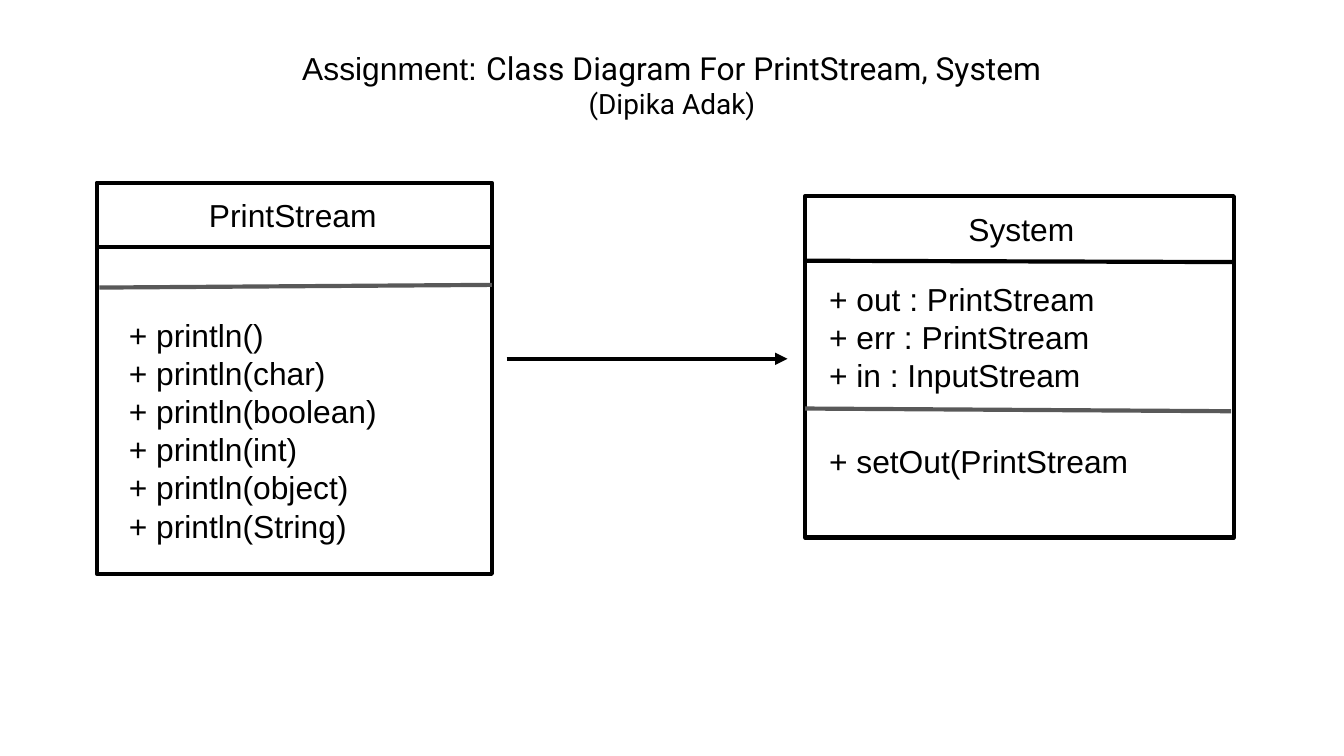
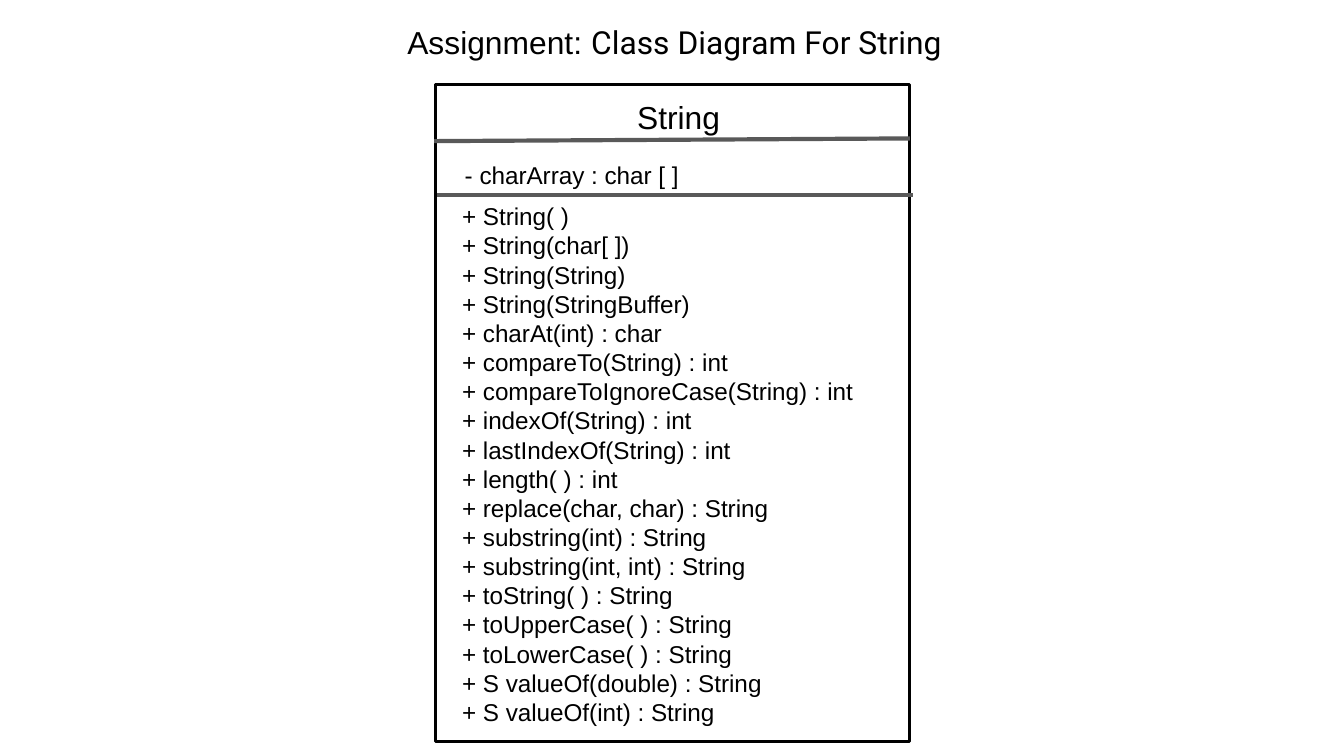
from lxml import etree
from pptx import Presentation
from pptx.dml.color import RGBColor
from pptx.enum import shapes, text
from pptx.oxml import ns
from pptx.util import Inches, Pt

BLACK, GREY, WHITE = "000000", "595959", "FFFFFF"
BODY, HEAD = "Arial", "Roboto"
NAME_SIZE = 17
NAME_W, LINE_H = 2.16, 0.49


def color(value):
    return RGBColor.from_string(value)


def add_text(slide, box, paragraphs, align=text.PP_ALIGN.LEFT):
    """Each paragraph is a list of (text, font, size) runs."""
    sp = slide.shapes.add_textbox(*map(Inches, box))
    tf = sp.text_frame
    tf.word_wrap = True
    tf.auto_size = text.MSO_AUTO_SIZE.SHAPE_TO_FIT_TEXT
    tf.margin_left = tf.margin_right = tf.margin_top = tf.margin_bottom = Inches(0.1)
    for i, runs in enumerate(paragraphs):
        p = tf.add_paragraph() if i else tf.paragraphs[0]
        p.alignment = align
        for words, font, size in runs:
            r = p.add_run()
            r.text = words
            r.font.name = font
            r.font.size = Pt(size)
            r.font.color.rgb = color(BLACK)


def add_line(slide, start, end, line_color, arrow=False):
    ln = slide.shapes.add_connector(
        shapes.MSO_CONNECTOR.STRAIGHT, *map(Inches, (*start, *end)))
    ln.line.color.rgb = color(line_color)
    ln.line.width = Pt(2.25)
    sp_pr = ln._element.spPr
    if arrow:
        tail = etree.SubElement(sp_pr.find(ns.qn("a:ln")), ns.qn("a:tailEnd"))
        tail.set("type", "triangle")
    etree.SubElement(sp_pr, ns.qn("a:effectLst"))


def add_title(slide, box, subject, author=None):
    paragraphs = [[("Assignment: ", BODY, NAME_SIZE),
                   (f"Class Diagram For {subject}", HEAD, NAME_SIZE)]]
    if author:
        paragraphs.append([(f"({author})", HEAD, 15)])
    add_text(slide, box, paragraphs, text.PP_ALIGN.CENTER)


def add_class(slide, box, name, name_dx, dividers, members, size, border=2.25):
    """Dividers are (x1, y1, x2, y2, colour) and members (x, y, w, h, lines),
    all measured from the top left of the box."""
    x, y, w, h = box
    sp = slide.shapes.add_shape(shapes.MSO_SHAPE.RECTANGLE, *map(Inches, box))
    sp.shadow.inherit = False
    sp.fill.solid()
    sp.fill.fore_color.rgb = color(WHITE)
    sp.line.color.rgb = color(BLACK)
    sp.line.width = Pt(border)

    for x1, y1, x2, y2, line_color in dividers:
        add_line(slide, (x + x1, y + y1), (x + x2, y + y2), line_color)
    add_text(slide, (x + name_dx, y, NAME_W, LINE_H),
             [[(name, BODY, NAME_SIZE)]], text.PP_ALIGN.CENTER)
    for dx, dy, mw, mh, lines in members:
        add_text(slide, (x + dx, y + dy, mw, mh),
                 [[(line, BODY, size)] for line in lines])


def stream_slide(slide):
    add_title(slide, (1.61, 0.26, 6.78, 0.74), "PrintStream, System", "Dipika Adak")
    arguments = ("", "char", "boolean", "int", "object", "String")
    add_class(
        slide, (0.72, 1.36, 2.94, 2.91), "PrintStream", 0.38,
        [(0.02, 0.48, 2.95, 0.48, BLACK), (0.02, 0.78, 2.94, 0.76, GREY)],
        [(0.14, 0.89, 3.02, 1.92, [f"+ println({a})" for a in arguments])],
        NAME_SIZE)
    add_class(
        slide, (5.99, 1.46, 3.19, 2.54), "System", 0.53,
        [(0, 0.48, 3.2, 0.49, BLACK), (0, 1.58, 3.17, 1.6, GREY)],
        [(0.08, 0.52, 3.19, 1.06,
          ["+ out : PrintStream", "+ err : PrintStream", "+ in : InputStream"]),
         (0.08, 1.73, 3.02, LINE_H, ["+ setOut(PrintStream"])],
        NAME_SIZE)
    add_line(slide, (3.77, 2.67), (5.86, 2.67), BLACK, arrow=True)


def string_slide(slide):
    add_title(slide, (2.12, 0.07, 5.8, LINE_H), "String")
    methods = [
        "String( )", "String(char[ ])", "String(String)", "String(StringBuffer)",
        "charAt(int) : char", "compareTo(String) : int",
        "compareToIgnoreCase(String) : int", "indexOf(String) : int",
        "lastIndexOf(String) : int", "length( ) : int",
        "replace(char, char) : String", "substring(int) : String",
        "substring(int, int) : String", "toString( ) : String",
        "toUpperCase( ) : String", "toLowerCase( ) : String",
        "S valueOf(double) : String", "S valueOf(int) : String",
    ]
    add_class(
        slide, (3.24, 0.63, 3.53, 4.89), "String", 0.73,
        [(-0.01, 0.42, 3.53, 0.4, GREY), (0.01, 0.82, 3.55, 0.82, GREY)],
        [(0.12, 0.46, 2.67, 0.42, ["- charArray : char [ ]"]),
         (0.1, 0.77, 3.8, 4.14, [f"+ {m}" for m in methods])],
        13, border=1.5)


def main():
    prs = Presentation()
    prs.slide_width = Inches(10)
    prs.slide_height = prs.slide_width * 9 // 16
    for build in (stream_slide, string_slide):
        build(prs.slides.add_slide(prs.slide_layouts[6]))
    prs.save("out.pptx")


if __name__ == "__main__":
    main()
